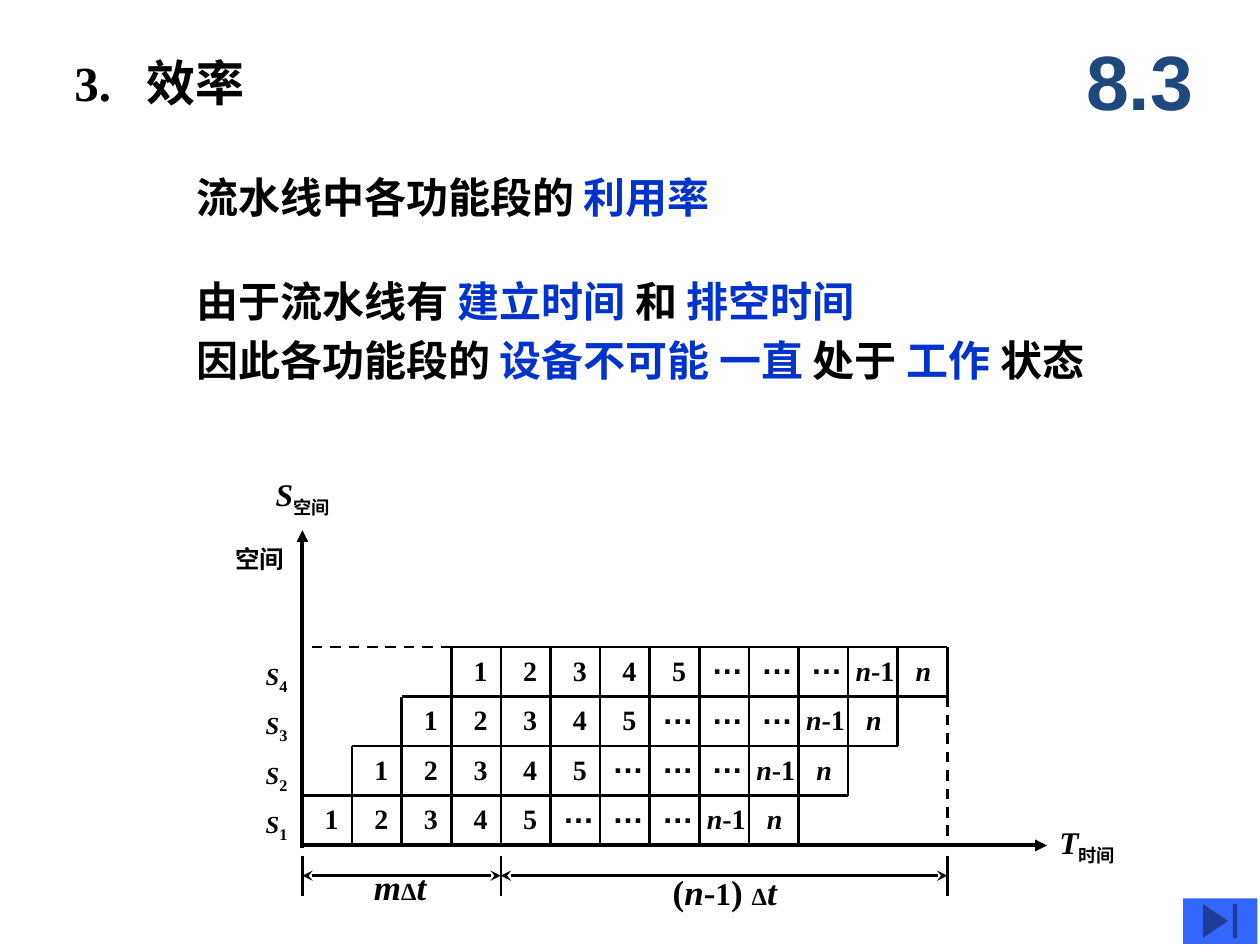
from lxml import etree
from pptx import Presentation
from pptx.dml.color import RGBColor
from pptx.enum import dml, shapes, text
from pptx.oxml import ns
from pptx.util import Pt

COLORS = {"ink": "000000", "key": "0033CC", "number": "1F497D", "button": "3366FF"}
SERIF = "Times New Roman"
CELL = 28.35
LEFT, BASE = 172.8, 483.1
STAGES, TASKS = 4, 10


def column_x(column):
    return LEFT + column * CELL


def level_y(level):
    return BASE - level * CELL


def add_child(parent, tag, **attributes):
    return etree.SubElement(parent, ns.qn(tag), attributes)


def add_span(para, content, size=16, color="ink", face=SERIF, italic=False, base=None):
    span = para.add_run()
    span.text = content
    span.font.size = Pt(size)
    span.font.name = face
    span.font.bold = True
    span.font.italic = italic
    span.font.color.rgb = RGBColor.from_string(COLORS[color])
    if base:
        span.font._element.set("baseline", str(base))


def set_tabs(para, stops):
    tabs = add_child(para._p.get_or_add_pPr(), "a:tabLst")
    for stop in stops:
        add_child(tabs, "a:tab", pos=str(Pt(stop)), algn="l")


def format_frame(frame, inset=7.2, anchor=text.MSO_ANCHOR.TOP, wrap=True):
    frame.auto_size = text.MSO_AUTO_SIZE.NONE
    frame.word_wrap = wrap
    frame.vertical_anchor = anchor
    frame.margin_left = Pt(inset)


def place(holder, left, top, width, height):
    holder.left, holder.top = Pt(left), Pt(top)
    holder.width, holder.height = Pt(width), Pt(height)


def add_label(page, left, top, width, height, spans, tabs=(), **frame_format):
    box = page.shapes.add_textbox(Pt(left), Pt(top), Pt(width), Pt(height))
    format_frame(box.text_frame, **frame_format)
    para = box.text_frame.paragraphs[0]
    if tabs:
        set_tabs(para, tabs)
    for content, span_format in spans:
        add_span(para, content, **span_format)
    return para


def add_line(page, x1, y1, x2, y2, width=1.5, dashed=False, head=None, tail=None):
    line = page.shapes.add_connector(
        shapes.MSO_CONNECTOR.STRAIGHT, Pt(x1), Pt(y1), Pt(x2), Pt(y2))
    line.line.width = Pt(width)
    line.line.color.rgb = RGBColor.from_string(COLORS["ink"])
    if dashed:
        line.line.dash_style = dml.MSO_LINE.DASH
    outline = line.line._get_or_add_ln()
    if head:
        add_child(outline, "a:headEnd", type=head)
    if tail:
        add_child(outline, "a:tailEnd", type=tail)
    add_child(line._element.spPr, "a:effectLst")


def fill_title(page):
    title = page.shapes.title
    place(title, 42.5, 26, 186, 42)
    format_frame(title.text_frame, inset=0, anchor=text.MSO_ANCHOR.MIDDLE, wrap=False)
    para = title.text_frame.paragraphs[0]
    para.alignment = text.PP_ALIGN.LEFT
    set_tabs(para, [41.5])
    add_span(para, "3.\t效率", size=28)


def fill_body(page):
    body = page.placeholders[1]
    place(body, 105, 154, 572.5, 76.5)
    format_frame(body.text_frame)
    lines = [
        [("由于流水线有 ", "ink"), ("建立时间", "key"), (" 和 ", "ink"), ("排空时间", "key")],
        [("因此各功能段的 ", "ink"), ("设备不可能 一直", "key"), (" 处于 ", "ink"),
         ("工作", "key"), (" 状态", "ink")],
    ]
    for index, spans in enumerate(lines):
        para = body.text_frame.add_paragraph() if index else body.text_frame.paragraphs[0]
        properties = para._p.get_or_add_pPr()
        properties.set("marL", "0")
        properties.set("indent", "0")
        add_child(properties, "a:buNone")
        para.space_before = Pt(5 if index else 0)
        for content, color in spans:
            add_span(para, content, size=24, color=color)


def draw_grid(page):
    last = STAGES + TASKS - 1
    for column in range(1, last + 1):
        low, high = max(0, column - TASKS), min(STAGES, column + 1)
        add_line(page, column_x(column), level_y(low), column_x(column), level_y(high))
    for level in range(1, STAGES + 1):
        end = min(last, level + TASKS)
        add_line(page, column_x(level - 1), level_y(level), column_x(end), level_y(level))
    add_line(page, column_x(STAGES - 1), level_y(STAGES), LEFT, level_y(STAGES), dashed=True)
    add_line(page, column_x(last), level_y(STAGES - 1), column_x(last), BASE, dashed=True)


def label_stage(page, stage):
    top = level_y(stage + 1)
    add_label(page, 144.7, top + 2.2, 34, 24,
              [("S", dict(size=14, italic=True)), (str(stage + 1), dict(base=-25000))])
    for task in range(5):
        add_label(page, column_x(stage + task) + 5.7, top, 17.3, 26.6, [(str(task + 1), {})])
    add_label(page, column_x(stage + 5), top - 5.7, 91, 29,
              [("…\t…\t…", dict(size=18, face="Arial"))], tabs=[CELL, 2 * CELL])
    add_label(page, column_x(stage + 8), top, 67.7, 26.6,
              [("n", dict(italic=True)), ("-1\t", {}), ("n", dict(italic=True))],
              tabs=[34.3], inset=4.3)


def draw_axes(page):
    add_line(page, LEFT, BASE, 598.3, BASE, width=2.25, tail="triangle")
    add_line(page, LEFT, BASE + 1.4, LEFT, 303, width=2.25, tail="triangle")
    for left, top, name, unit in [(598.3, 466.6, "T", "时间"), (150.5, 267.8, "S", "空间")]:
        add_label(page, left, top, 67.7, 29,
                  [(name, dict(size=18, italic=True)), (unit, dict(size=18, base=-25000))])
    add_label(page, 127.4, 307.4, 57, 24, [("空间", dict(size=14))])


def draw_durations(page):
    marks = [column_x(column) for column in (0, 4, 13)]
    for x in marks:
        add_line(page, x, 489, x, 512)
    for start, end in zip(marks, marks[1:]):
        add_line(page, start, 500.4, end, 500.4, head="stealth", tail="stealth")
    roman, slanted = dict(size=20), dict(size=20, italic=True)
    interval = [("Δ", dict(size=14)), ("t", slanted)]
    add_label(page, 206.6, 491, 107, 31, [("m", slanted)] + interval)
    add_label(page, 377.3, 494, 107, 31,
              [("(", roman), ("n", slanted), ("-", roman), ("1", dict(size=18)),
               (") ", roman)] + interval)


def add_button(page):
    button = page.shapes.add_shape(
        shapes.MSO_SHAPE.ACTION_BUTTON_END, Pt(676), Pt(513.3), Pt(42.5), Pt(26))
    button.shadow.inherit = False
    button.fill.solid()
    button.fill.fore_color.rgb = RGBColor.from_string(COLORS["button"])
    button.line.fill.background()


def main():
    deck = Presentation()
    deck.slide_width, deck.slide_height = Pt(720), Pt(540)
    page = deck.slides.add_slide(deck.slide_layouts[1])
    fill_title(page)
    fill_body(page)
    number = add_label(page, 606.2, 12.2, 90, 66.2,
                       [("8.3", dict(size=44, color="number", face="Arial"))],
                       anchor=text.MSO_ANCHOR.MIDDLE)
    number.alignment = text.PP_ALIGN.CENTER
    add_label(page, 105, 94.3, 600, 36,
              [("流水线中各功能段的 ", dict(size=24)), ("利用率", dict(size=24, color="key"))])
    draw_grid(page)
    for stage in range(STAGES):
        label_stage(page, stage)
    draw_axes(page)
    draw_durations(page)
    add_button(page)
    deck.save("out.pptx")


if __name__ == "__main__":
    main()
